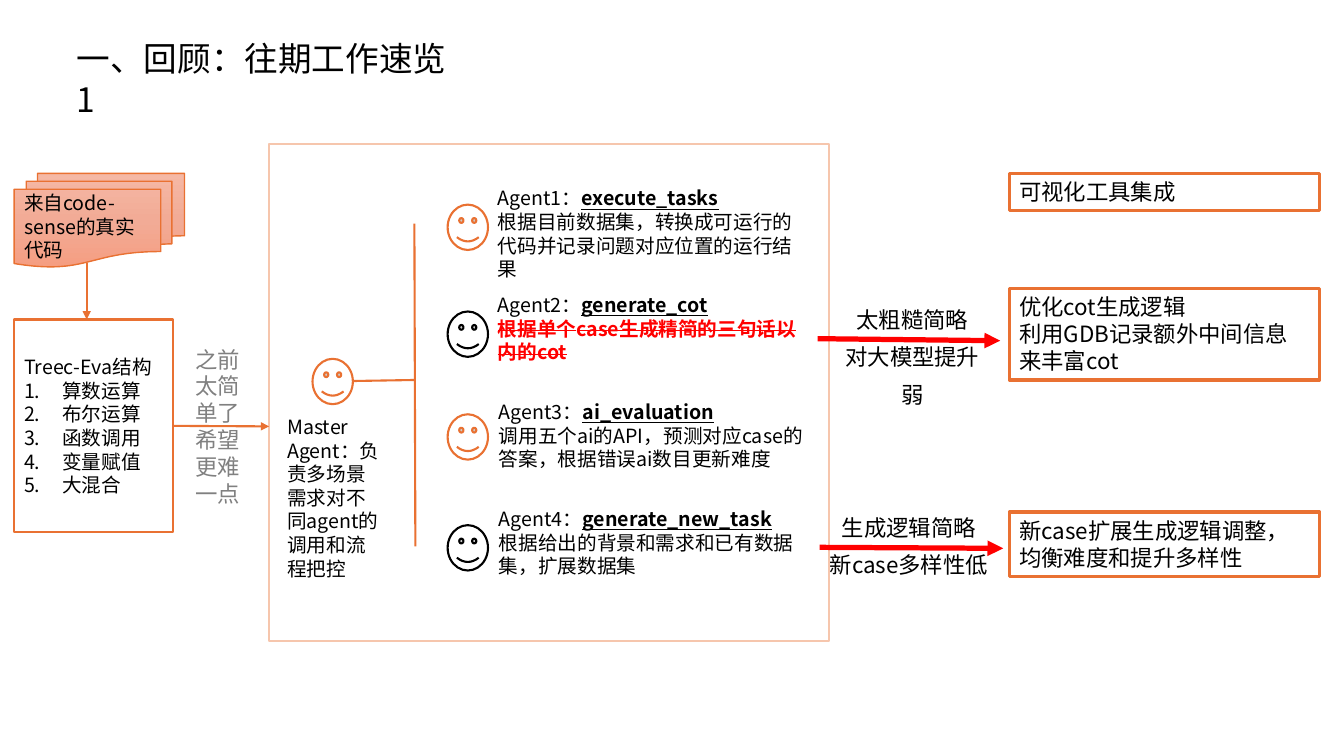
from copy import deepcopy

from lxml import etree
from pptx import Presentation
from pptx.dml.color import RGBColor
from pptx.enum.shapes import MSO_CONNECTOR, MSO_SHAPE
from pptx.enum.text import MSO_ANCHOR, MSO_AUTO_SIZE, PP_ALIGN
from pptx.oxml.ns import qn
from pptx.util import Pt

PX = 9144
FONT = "Noto Sans CJK SC"
COLORS = {
    "black": "000000",
    "white": "FFFFFF",
    "orange": "E97132",
    "peach": "F6C6AD",
    "red": "FF0000",
    "gray": "808080",
    "salmon light": "F5B8A5",
    "salmon": "F2AB96",
    "salmon dark": "F59E82",
}
DOCUMENT_STOPS = ((0, "salmon light"), (0.5, "salmon"), (1, "salmon dark"))
RECTANGLE = MSO_SHAPE.RECTANGLE
SMILEY = MSO_SHAPE.SMILEY_FACE
DOCUMENTS = MSO_SHAPE.FLOWCHART_MULTIDOCUMENT
STRAIGHT = MSO_CONNECTOR.STRAIGHT
TOP, MIDDLE = MSO_ANCHOR.TOP, MSO_ANCHOR.MIDDLE
LEFT, CENTER = PP_ALIGN.LEFT, PP_ALIGN.CENTER
NO_FIT = MSO_AUTO_SIZE.NONE


def color(name):
    return RGBColor.from_string(COLORS[name])


def emu(*lengths):
    return [length * PX for length in lengths]


class SlideBuilder:
    def __init__(self, presentation):
        self.slide = presentation.slides.add_slide(presentation.slide_layouts[5])

    def style(self, paragraph, size, ink="black", align=LEFT, spacing=None):
        paragraph.alignment = align
        if spacing:
            paragraph.line_spacing = spacing
        font = paragraph.font
        font.size = Pt(size)
        font.color.rgb = color(ink)
        font.name = FONT
        properties = paragraph._p.pPr.find(qn("a:defRPr"))
        etree.SubElement(properties, qn("a:ea"), typeface=FONT)

    def fill_text(self, shape, lines, size, anchor=TOP, **look):
        frame = shape.text_frame
        frame.word_wrap = True
        frame.auto_size = NO_FIT
        frame.vertical_anchor = anchor
        frame.text = "\n".join(lines)
        for paragraph in frame.paragraphs:
            self.style(paragraph, size, **look)
        return frame

    def title(self, box, text):
        shape = self.slide.shapes.title
        shape.left, shape.top, shape.width, shape.height = emu(*box)
        self.fill_text(shape, [text], 24)

    def text(self, box, lines, size, **look):
        shape = self.slide.shapes.add_textbox(*emu(*box))
        return self.fill_text(shape, lines, size, **look)

    def shape(self, kind, box, line, width, fill="white"):
        shape = self.slide.shapes.add_shape(kind, *emu(*box))
        shape.shadow.inherit = False
        if fill:
            shape.fill.solid()
            shape.fill.fore_color.rgb = color(fill)
        else:
            shape.fill.background()
        shape.line.color.rgb = color(line)
        shape.line.width = Pt(width)
        return shape

    def smiley(self, left, top, line):
        self.shape(SMILEY, (left, top, 40, 45), line, 1.5)

    def documents(self, box, text):
        shape = self.shape(DOCUMENTS, box, "orange", 1)
        shape.fill.gradient()
        shape.fill.gradient_angle = 270
        stop_list = shape._element.spPr.find(qn("a:gradFill")).find(qn("a:gsLst"))
        stop_list.insert(1, deepcopy(stop_list[0]))
        for stop, (position, shade) in zip(shape.fill.gradient_stops, DOCUMENT_STOPS):
            stop.position = position
            stop.color.rgb = color(shade)
        self.fill_text(shape, [text], 14, MIDDLE)

    def numbered_box(self, box, heading, items):
        shape = self.shape(RECTANGLE, box, "orange", 1.5)
        frame = self.fill_text(shape, [heading], 14, MIDDLE)
        for item in items:
            paragraph = frame.add_paragraph()
            paragraph.text = item
            properties = paragraph._p.get_or_add_pPr()
            properties.set("marL", str(38 * PX))
            properties.set("indent", str(-38 * PX))
            etree.SubElement(properties, qn("a:buAutoNum"), type="arabicPeriod")
            self.style(paragraph, 14)
        return shape

    def agent(self, box, number, function, duty, struck):
        frame = self.text(box, ["", duty], 14)
        heading, description = frame.paragraphs
        heading.add_run().text = f"Agent{number}："
        name = heading.add_run()
        name.text = function
        name.font.bold = True
        name.font.underline = True
        if struck:
            description.font.bold = True
            description.font.color.rgb = color("red")
            description._p.pPr.find(qn("a:defRPr")).set("strike", "sngStrike")

    def outcome(self, top, height, lines):
        shape = self.shape(RECTANGLE, (1001, top, 308, height), "orange", 2.25, None)
        self.fill_text(shape, lines, 16)

    def line(self, start, end, ink="orange", width=1.5, arrow=False):
        connector = self.slide.shapes.add_connector(STRAIGHT, *emu(*start, *end))
        connector.line.color.rgb = color(ink)
        connector.line.width = Pt(width)
        properties = connector._element.spPr
        if arrow:
            etree.SubElement(properties.find(qn("a:ln")), qn("a:tailEnd"), type="triangle")
        etree.SubElement(properties, qn("a:effectLst"))
        return connector


AGENTS = [
    ((484, 180, 326, 104), 203, "orange", "execute_tasks",
     "根据目前数据集，转换成可运行的代码并记录问题对应位置的运行结果"),
    ((484, 286, 326, 81), 309, "black", "generate_cot",
     "根据单个case生成精简的三句话以内的cot"),
    ((485, 392, 326, 81), 411, "orange", "ai_evaluation",
     "调用五个ai的API，预测对应case的答案，根据错误ai数目更新难度"),
    ((485, 498, 326, 81), 521, "black", "generate_new_task",
     "根据给出的背景和需求和已有数据集，扩展数据集"),
]
PROBLEMS = [
    ((820, 288, 170, 123), ["太粗糙简略", "对大模型提升弱"], (811, 336), (992, 338)),
    ((810, 494, 183, 85), ["生成逻辑简略", "新case多样性低"], (813, 543), (995, 544)),
]
OUTCOMES = [
    (286, 91, ["优化cot生成逻辑", "利用GDB记录额外中间信息来丰富cot"]),
    (508, 64, ["新case扩展生成逻辑调整，均衡难度和提升多样性"]),
    (172, 37, ["可视化工具集成"]),
]
STRUCTURE = ["算数运算", "布尔运算", "函数调用", "变量赋值", "大混合"]


def main():
    presentation = Presentation()
    presentation.slide_width, presentation.slide_height = emu(1333, 750)
    builder = SlideBuilder(presentation)
    builder.title((66, 33, 390, 50), "一、回顾：往期工作速览1")

    builder.shape(RECTANGLE, (267, 143, 555, 493), "peach", 1.5)
    for number, (box, face_top, ink, function, duty) in enumerate(AGENTS, 1):
        builder.smiley(444, face_top, ink)
        builder.agent(box, number, function, duty, struck=function == "generate_cot")
    builder.smiley(310, 356, "orange")
    builder.text((275, 407, 116, 175),
                 ["Master Agent：负责多场景需求对不同agent的调用和流程把控"], 14)
    builder.line((350, 378), (411, 377))
    builder.line((411, 222), (412, 542))

    for box, lines, start, end in PROBLEMS:
        builder.text(box, lines, 16, align=CENTER, spacing=1.4)
        builder.line(start, end, "red", 3.75, arrow=True)
    for top, height, lines in OUTCOMES:
        builder.outcome(top, height, lines)

    builder.documents((14, 172, 169, 93), "来自code-sense的真实代码")
    builder.line((86, 261), (86, 317), arrow=True)
    structure = builder.numbered_box((14, 317, 158, 211), "Treec-Eva结构", STRUCTURE)
    feed = builder.line((172, 423), (267, 423), arrow=True)
    feed.begin_connect(structure, 3)
    builder.text((184, 338, 82, 172), ["之前太简单了希望更难一点"], 16, ink="gray")
    presentation.save("out.pptx")


if __name__ == "__main__":
    main()
